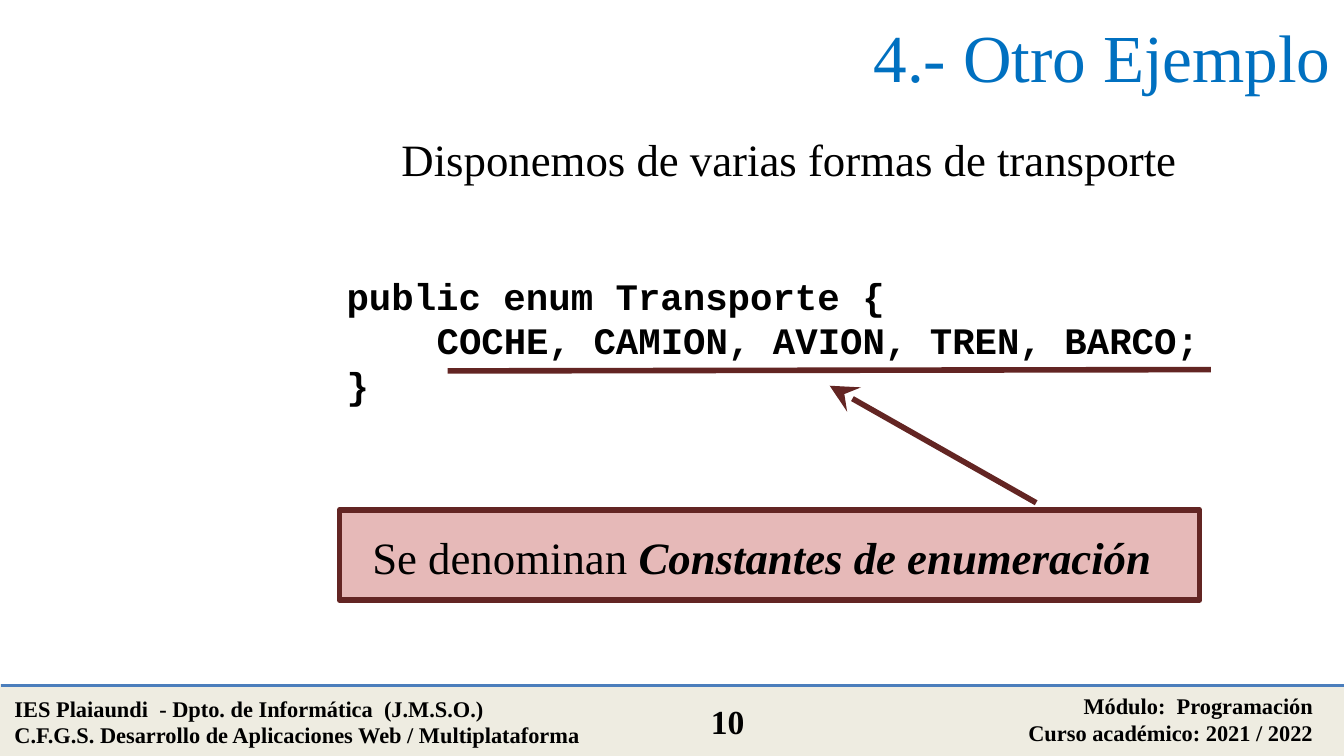
from dataclasses import dataclass

from lxml import etree
from pptx import Presentation
from pptx.dml.color import RGBColor
from pptx.enum.shapes import MSO_CONNECTOR, MSO_SHAPE
from pptx.enum.text import MSO_ANCHOR, PP_ALIGN
from pptx.oxml.ns import qn
from pptx.util import Inches, Pt

BLACK = RGBColor(0x00, 0x00, 0x00)
TITLE_BLUE = RGBColor(0x00, 0x70, 0xC0)
RULE_BLUE = RGBColor(0x4B, 0x7E, 0xBC)
FOOTER_BEIGE = RGBColor(0xEE, 0xEC, 0xE1)
CALLOUT_PINK = RGBColor(0xE6, 0xB9, 0xB8)
DARK_RED = RGBColor(0x63, 0x25, 0x23)

LEFT, CENTER, RIGHT = PP_ALIGN.LEFT, PP_ALIGN.CENTER, PP_ALIGN.RIGHT
TOP, MIDDLE = MSO_ANCHOR.TOP, MSO_ANCHOR.MIDDLE
RECTANGLE, CALLOUT = MSO_SHAPE.RECTANGLE, MSO_SHAPE.LINE_CALLOUT_1
STRAIGHT = MSO_CONNECTOR.STRAIGHT

SERIF, MONO = "Times New Roman", "Courier New"
SLIDE_WIDTH = Inches(10)
SLIDE_HEIGHT = SLIDE_WIDTH * 9 // 16
CODE_INDENT = Inches(0.67)  # four characters of 20 pt code


@dataclass
class Run:
    text: str
    bold: bool = False
    italic: bool = False


@dataclass
class Line:
    runs: list[Run]
    indent: int = 0


@dataclass
class TextBlock:
    box: tuple[float, float, float, float]
    lines: list[Line]
    size: int
    align: PP_ALIGN = LEFT
    font: str = SERIF
    color: RGBColor = BLACK
    anchor: MSO_ANCHOR = TOP


def bold_line(text: str, indent: int = 0) -> Line:
    return Line([Run(text, bold=True)], indent)


def add_text(slide, block: TextBlock) -> None:
    frame = slide.shapes.add_textbox(*map(Inches, block.box)).text_frame
    frame.word_wrap = True
    frame.vertical_anchor = block.anchor
    for i, line in enumerate(block.lines):
        paragraph = frame.add_paragraph() if i else frame.paragraphs[0]
        paragraph.alignment = block.align
        if line.indent:
            paragraph._p.get_or_add_pPr().set("marL", str(line.indent))
        for part in line.runs:
            run = paragraph.add_run()
            run.text = part.text
            run.font.name = block.font
            run.font.size = Pt(block.size)
            run.font.bold = part.bold
            run.font.italic = part.italic
            run.font.color.rgb = block.color


def add_box(slide, kind: MSO_SHAPE, box: tuple[float, float, float, float],
            fill: RGBColor, border: RGBColor, width: float):
    shape = slide.shapes.add_shape(kind, *map(Inches, box))
    shape.shadow.inherit = False
    shape.fill.solid()
    shape.fill.fore_color.rgb = fill
    shape.line.color.rgb = border
    shape.line.width = Pt(width)
    return shape


def add_rule(slide, ends: tuple[float, float, float, float],
             color: RGBColor, width: float) -> None:
    rule = slide.shapes.add_connector(STRAIGHT, *map(Inches, ends))
    rule.line.color.rgb = color
    rule.line.width = Pt(width)
    etree.SubElement(rule._element.spPr, qn("a:effectLst"))


FOOTER_TEXTS = [
    TextBlock((0.01, 5.12, 4.66, 0.5), [
        bold_line("IES Plaiaundi  - Dpto. de Informática  (J.M.S.O.)"),
        bold_line("C.F.G.S. Desarrollo de Aplicaciones Web / Multiplataforma"),
    ], 12),
    TextBlock((5.87, 5.1, 4, 0.5), [
        bold_line("Módulo:  Programación"),
        bold_line("Curso académico: 2021 / 2022"),
    ], 12, RIGHT),
    TextBlock((5.01, 5.17, 0.81, 0.4), [bold_line("10")], 18, CENTER),
]

BODY_TEXTS = [
    TextBlock((1.33, 0, 8.67, 0.83), [Line([Run("4.- Otro Ejemplo")])],
              36, RIGHT, color=TITLE_BLUE, anchor=MIDDLE),
    TextBlock((2.53, 0.93, 6.68, 0.5),
              [Line([Run("Disponemos de varias formas de transporte")])],
              24, CENTER),
    TextBlock((2.48, 1.98, 6.68, 1.11), [
        bold_line("public enum Transporte {"),
        bold_line("COCHE, CAMION, AVION, TREN, BARCO;", CODE_INDENT),
        bold_line("}"),
    ], 20, font=MONO),
]

CALLOUT_TEXT = TextBlock((2.54, 3.89, 6.34, 0.5), [
    Line([Run("Se denominan "),
          Run("Constantes de enumeración ", bold=True, italic=True)]),
], 24, CENTER)


def main() -> None:
    prs = Presentation()
    prs.slide_width, prs.slide_height = SLIDE_WIDTH, SLIDE_HEIGHT
    slide = prs.slides.add_slide(prs.slide_layouts[6])

    # Footer band
    add_box(slide, RECTANGLE, (0.01, 5.1, 10, 0.52),
            FOOTER_BEIGE, FOOTER_BEIGE, 2)
    add_rule(slide, (0.01, 5.1, 10.01, 5.1), RULE_BLUE, 2)

    # Footer, title, sentence and code
    for block in FOOTER_TEXTS + BODY_TEXTS:
        add_text(slide, block)

    # Callout turned on its side, its arrow pointing up at the constants
    callout = add_box(slide, CALLOUT, (5.39, 0.93, 0.67, 6.4),
                      CALLOUT_PINK, DARK_RED, 3)
    callout.rotation = 90
    for i, value in enumerate((0.19, -0.08, 0.43, -1.38)):
        callout.adjustments[i] = value
    etree.SubElement(callout.line._get_or_add_ln(), qn("a:tailEnd"),
                     type="stealth", w="lg", len="lg")

    # Underlined constants and callout text
    add_rule(slide, (3.33, 2.76, 9.01, 2.75), DARK_RED, 3)
    add_text(slide, CALLOUT_TEXT)

    prs.save("out.pptx")


if __name__ == "__main__":
    main()
